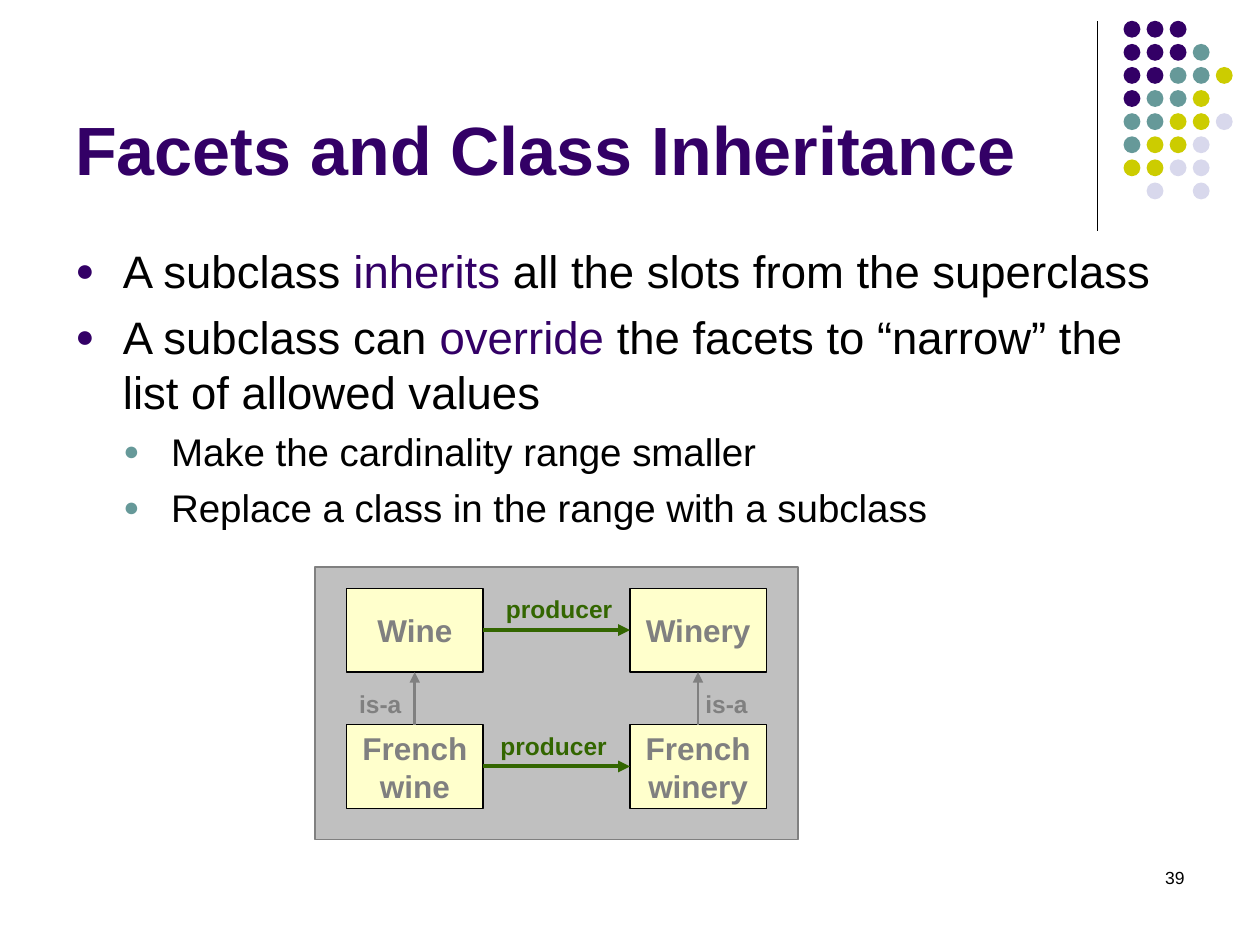
"""Build the slide on facets and class inheritance."""
from lxml.etree import SubElement
from pptx import Presentation
from pptx.dml.color import RGBColor
from pptx.enum.shapes import MSO_CONNECTOR as Connector, MSO_SHAPE as Shape
from pptx.enum.text import MSO_ANCHOR as Anchor, MSO_AUTO_SIZE as AutoSize, PP_ALIGN as Align
from pptx.oxml.ns import qn
from pptx.util import Cm, Pt

PURPLE, TEAL, GREEN, GRAY, BLACK = "330066", "669999", "336600", "808080", "000000"
DOT_COLORS = {"P": PURPLE, "T": TEAL, "Y": "CCCC00", "L": "D8D8EC"}
DOT_ROWS = ["PPP", "PPPT", "PPTTY", "PTTY", "TTYYL", "TYYL", "YYLL", " L L"]

color = RGBColor.from_string


def write(shape, lines, size, text_color, bold=False, align=Align.LEFT,
          anchor=Anchor.TOP, wrap=True):
    frame = shape.text_frame
    frame.word_wrap = wrap
    frame.vertical_anchor = anchor
    frame.text = lines
    for paragraph in frame.paragraphs:
        paragraph.alignment = align
        paragraph.font.name = "Arial"
        paragraph.font.size = Pt(size)
        paragraph.font.bold = bold
        paragraph.font.color.rgb = color(text_color)


def draw_line(x1, y1, x2, y2, line_color, width, arrow=True):
    line = slide.shapes.add_connector(Connector.STRAIGHT, Cm(x1), Cm(y1), Cm(x2), Cm(y2))
    line.line.color.rgb = color(line_color)
    line.line.width = Pt(width)
    if arrow:
        SubElement(line.line._get_or_add_ln(), qn("a:tailEnd"), type="triangle")
    SubElement(line._element.spPr, qn("a:effectLst"))


presentation = Presentation()
presentation.slide_width, presentation.slide_height = Cm(25.4), Cm(19.05)
slide = presentation.slides.add_slide(presentation.slide_layouts[6])

draw_line(22.12, 0.43, 22.12, 4.65, BLACK, 0.75, arrow=False)
for row, letters in enumerate(DOT_ROWS):
    for column, letter in enumerate(letters):
        if letter in DOT_COLORS:
            dot = slide.shapes.add_shape(
                Shape.OVAL, Cm(22.65 + column * 1.86 / 4), Cm(0.42 + row * 3.26 / 7),
                Cm(0.34), Cm(0.34))
            dot.shadow.inherit = False
            dot.fill.solid()
            dot.fill.fore_color.rgb = color(DOT_COLORS[letter])
            dot.line.fill.background()

number = slide.shapes.add_textbox(Cm(18.2), Cm(17.35), Cm(5.93), Cm(1.27))
write(number, "39", 10, BLACK, align=Align.RIGHT)

title = slide.shapes.add_textbox(Cm(1.27), Cm(0.33), Cm(20.96), Cm(3.6))
write(title, "Facets and Class Inheritance", 39, PURPLE, bold=True, anchor=Anchor.BOTTOM)

bullets = [
    (0, ["A subclass ", "inherits", " all the slots from the superclass"]),
    (0, ["A subclass can ", "override",
         " the facets to “narrow” the list of allowed values"]),
    (1, ["Make the cardinality range smaller"]),
    (1, ["Replace a class in the range with a subclass"]),
]
body = slide.shapes.add_textbox(Cm(1.27), Cm(4.78), Cm(22.86), Cm(12.24))
body.text_frame.word_wrap = True
for index, (level, parts) in enumerate(bullets):
    frame = body.text_frame
    paragraph = frame.add_paragraph() if index else frame.paragraphs[0]
    paragraph.level = level
    paragraph.space_before = Pt((6.5, 5.5)[level])
    properties = paragraph._p.get_or_add_pPr()
    properties.set("marL", str(Cm((0.96, 1.93)[level])))
    properties.set("indent", str(-Cm(0.96)))
    bullet_color = SubElement(properties, qn("a:buClr"))
    SubElement(bullet_color, qn("a:srgbClr"), val=(PURPLE, TEAL)[level])
    SubElement(properties, qn("a:buSzPct"), val="70000")
    SubElement(properties, qn("a:buFont"), typeface="Arial")
    SubElement(properties, qn("a:buChar"), char="●")
    paragraph.font.name = "Arial"
    paragraph.font.size = Pt((26, 22)[level])
    for position, text in enumerate(parts):
        run = paragraph.add_run()
        run.text = text
        run.font.color.rgb = color(PURPLE if position == 1 else BLACK)

boxes = [
    (6.35, 11.43, 9.74, 5.5, "C0C0C0", GRAY, ""),
    (6.99, 11.86, 2.75, 1.69, "FFFFCC", BLACK, "Wine"),
    (6.99, 14.61, 2.75, 1.69, "FFFFCC", BLACK, "French\nwine"),
    (12.7, 11.86, 2.75, 1.69, "FFFFCC", BLACK, "Winery"),
    (12.7, 14.61, 2.75, 1.69, "FFFFCC", BLACK, "French\nwinery"),
]
for left, top, width, height, fill, outline, text in boxes:
    box = slide.shapes.add_shape(Shape.RECTANGLE, Cm(left), Cm(top), Cm(width), Cm(height))
    box.shadow.inherit = False
    box.fill.solid()
    box.fill.fore_color.rgb = color(fill)
    box.line.color.rgb = color(outline)
    box.line.width = Pt(0.75)
    if text:
        write(box, text, 18, GRAY, bold=True, align=Align.CENTER,
              anchor=Anchor.MIDDLE, wrap=False)

for x in (8.36, 14.07):
    draw_line(x, 14.61, x, 13.55, GRAY, 1.5)
for y in (12.7, 15.45):
    draw_line(9.74, y, 12.7, y, GREEN, 2.25)

labels = [
    (6.99, 13.76, 1.4, "is-a", GRAY),
    (13.97, 13.76, 1.4, "is-a", GRAY),
    (9.95, 11.86, 2.7, "producer", GREEN),
    (9.84, 14.61, 2.7, "producer", GREEN),
]
for left, top, width, text, label_color in labels:
    label = slide.shapes.add_textbox(Cm(left), Cm(top), Cm(width), Cm(0.86))
    write(label, text, 14, label_color, bold=True, wrap=False)
    label.text_frame.auto_size = AutoSize.SHAPE_TO_FIT_TEXT

presentation.save("out.pptx")
